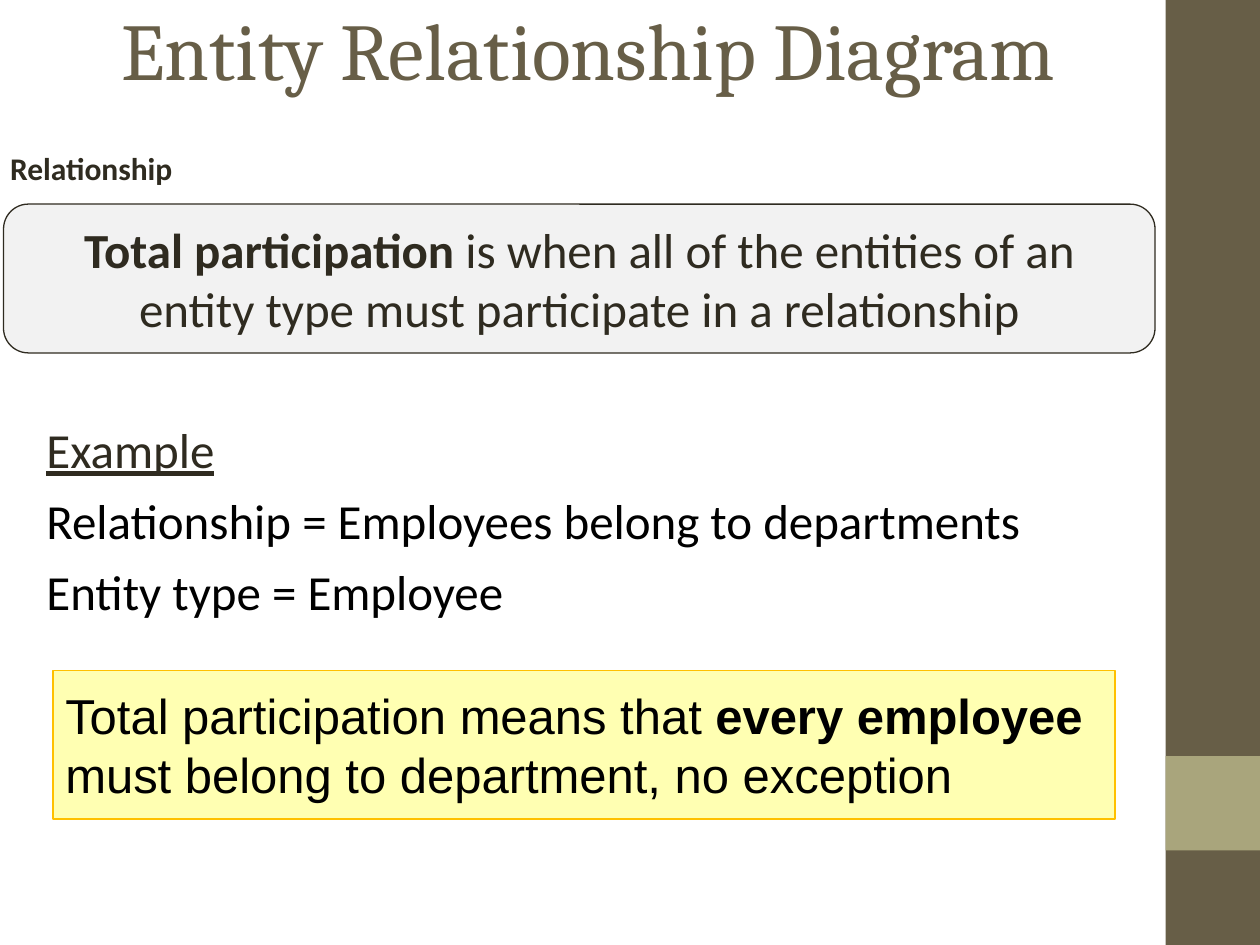
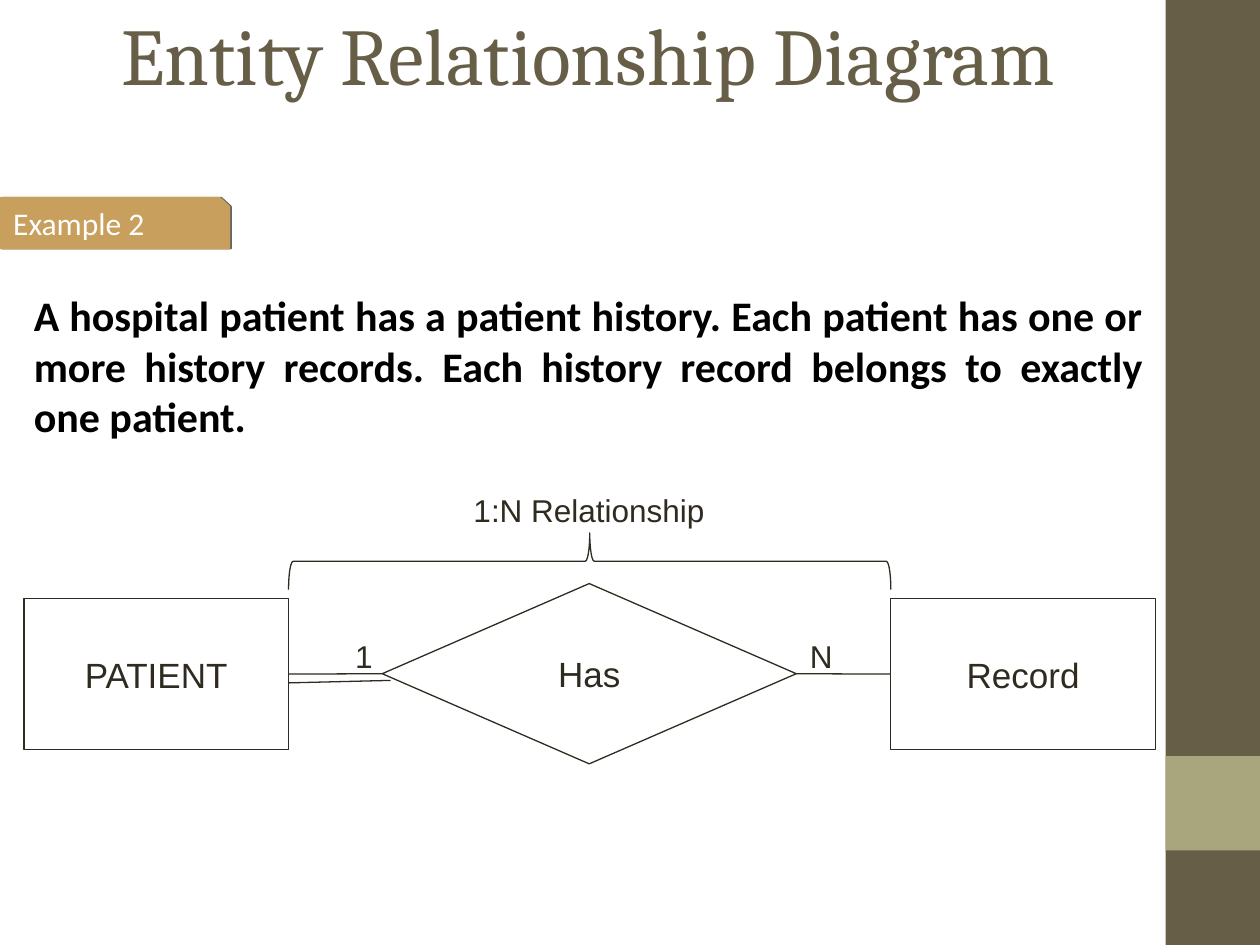
import pptx
import pptx.util
import pptx.dml.color
import pptx.enum.shapes
import pptx.enum.text
import pptx.oxml
import pptx.oxml.ns

Pt = pptx.util.Pt
SHAPE = pptx.enum.shapes.MSO_SHAPE
ALIGN = pptx.enum.text.PP_ALIGN
ANCHOR = pptx.enum.text.MSO_ANCHOR
NAMESPACE = pptx.oxml.ns.nsdecls("a")

COLORS = {
    "brown": "675E47", "sage": "A9A57C", "ink": "2F2B20", "black": "000000",
    "white": "FFFFFF", "grey": "F2F2F2", "yellow": "FFFF00", "amber": "FFC000",
    "tan": "C89F5D",
}


def color(name):
    return pptx.dml.color.RGBColor.from_string(COLORS[name])


def write(shape, paragraphs, font, font_color="ink", align=ALIGN.LEFT,
          anchor=ANCHOR.TOP, margins=(7.2, 3.6)):
    """Each paragraph is a list of (text, changed font values) runs."""
    frame = shape.text_frame
    frame_format = {
        "word_wrap": True, "auto_size": pptx.enum.text.MSO_AUTO_SIZE.NONE,
        "vertical_anchor": anchor,
        "margin_left": Pt(margins[0]), "margin_right": Pt(margins[0]),
        "margin_top": Pt(margins[1]), "margin_bottom": Pt(margins[1]),
    }
    for name, value in frame_format.items():
        setattr(frame, name, value)
    for index, runs in enumerate(paragraphs):
        paragraph = frame.paragraphs[0] if index == 0 else frame.add_paragraph()
        paragraph.alignment = align
        if index:
            paragraph.space_before = Pt(7)
        for text, changes in runs:
            run = paragraph.add_run()
            run.text = text
            values = {**font, "color": font_color, **changes}
            run.font.color.rgb = color(values.pop("color"))
            for name, value in values.items():
                setattr(run.font, name, value)


def paint(shape, fill=None, line=None, width=0.75):
    shape.shadow.inherit = False
    if fill:
        shape.fill.solid()
        shape.fill.fore_color.rgb = color(fill)
    else:
        shape.fill.background()
    if line:
        shape.line.color.rgb = color(line)
        shape.line.width = Pt(width)
    else:
        shape.line.fill.background()


TITLE = {"name": "Cambria", "size": Pt(46)}
BODY = {"name": "Calibri", "size": Pt(28)}
LABEL = {"name": "Calibri", "size": Pt(18)}
CALLOUT = {"name": "Arial", "size": Pt(28)}
ENTITY = {"name": "Arial", "size": Pt(20)}
CARDINALITY = {"name": "Arial", "size": Pt(18)}

presentation = pptx.Presentation()
presentation.slide_width, presentation.slide_height = Pt(720), Pt(540)

# Slides with the shared title
slides = []
for title_height in (54.72, 60.48):
    slide = presentation.slides.add_slide(presentation.slide_layouts[5])
    title = slide.shapes.title
    title.left, title.top = Pt(36), Pt(0)
    title.width, title.height = Pt(600), Pt(title_height)
    write(title, [[("Entity Relationship Diagram", {})]], TITLE, "brown",
          ALIGN.CENTER, ANCHOR.MIDDLE)
    slides.append(slide)
participation, hospital = slides

# Side band, moved to the slide master
for index, (top, height, fill) in enumerate([(0, 540, "brown"), (432, 54, "sage")]):
    band = participation.shapes.add_shape(
        SHAPE.RECTANGLE, Pt(666), Pt(top), Pt(54), Pt(height))
    paint(band, fill)
    band.element.nvSpPr.cNvPr.set("id", str(101 + index))
    presentation.slide_master.shapes.element.insert(2 + index, band.element)

# Slide 1: heading and definition
heading = participation.shapes.add_textbox(Pt(0), Pt(88.5), Pt(114), Pt(25))
write(heading, [[("Relationship", {"bold": True})]], LABEL, margins=(5.76, 0))
heading.text_frame.paragraphs[0].line_spacing = Pt(18)

definition = participation.shapes.add_shape(
    SHAPE.ROUNDED_RECTANGLE, Pt(2), Pt(116.64), Pt(658), Pt(85))
paint(definition, "grey", "ink")
write(definition, [[
    ("Total participation ", {"bold": True}),
    ("is when all of the entities of an entity type must participate in a relationship", {}),
]], BODY, align=ALIGN.CENTER, anchor=ANCHOR.MIDDLE)

# Slide 1: example and its meaning
example = participation.shapes.add_textbox(Pt(19.44), Pt(236.16), Pt(640), Pt(130))
write(example, [
    [("Example", {"underline": True, "color": "ink"})],
    [("Relationship = Employees belong to departments", {})],
    [("Entity type = Employee", {})],
], BODY, "black")

meaning = participation.shapes.add_shape(
    SHAPE.RECTANGLE, Pt(30.24), Pt(383.04), Pt(607), Pt(85))
paint(meaning, "yellow", "amber")
fill_color = meaning.element.spPr.find(
    pptx.oxml.ns.qn("a:solidFill")).find(pptx.oxml.ns.qn("a:srgbClr"))
fill_color.append(pptx.oxml.parse_xml(f'<a:alpha {NAMESPACE} val="30000"/>'))
write(meaning, [[
    ("Total participation means that ", {}),
    ("every employee ", {"bold": True}),
    ("must belong to department, no exception", {}),
]], CALLOUT, "black", anchor=ANCHOR.MIDDLE)

# Slide 2: example tab with a cut corner and a thin shadow
builder = hospital.shapes.build_freeform(Pt(0.5), Pt(113))
builder.add_line_segments(
    [(Pt(x), Pt(y)) for x, y in [(125.5, 113), (131, 118), (131, 142), (0.5, 142)]])
tab = builder.convert_to_shape()
paint(tab, "tan", "tan", 1)
tab.element.spPr.find(pptx.oxml.ns.qn("a:effectLst")).append(pptx.oxml.parse_xml(
    f'<a:outerShdw {NAMESPACE} blurRad="0" dist="12700" dir="0" rotWithShape="0">'
    f'<a:srgbClr val="{COLORS["black"]}"><a:alpha val="60000"/></a:srgbClr></a:outerShdw>'))
write(tab, [[("Example 2", {})]], LABEL, "white", anchor=ANCHOR.MIDDLE)

scenario = hospital.shapes.add_textbox(Pt(12.24), Pt(162), Pt(648), Pt(97))
write(scenario, [[(
    "A hospital patient has a patient history. Each patient has one or more history "
    "records. Each history record belongs to exactly one patient.", {"bold": True})]],
    {**BODY, "size": Pt(24)}, "black", ALIGN.JUSTIFY)

# Slide 2: entities and their relationship
nodes = {}
for name, kind, left, top, width, height in [
    ("PATIENT", SHAPE.RECTANGLE, 13.68, 342, 151.2, 86.4),
    ("Record", SHAPE.RECTANGLE, 509.04, 342, 151.2, 86.4),
    ("Has", SHAPE.DIAMOND, 218.4, 333.5, 236.6, 103),
]:
    node = hospital.shapes.add_shape(kind, Pt(left), Pt(top), Pt(width), Pt(height))
    paint(node, "white", "ink")
    write(node, [[(name, {})]], ENTITY, align=ALIGN.CENTER, anchor=ANCHOR.MIDDLE)
    nodes[name] = node

# Slide 2: connectors, with a second line for total participation
links = [hospital.shapes.add_connector(
    pptx.enum.shapes.MSO_CONNECTOR.STRAIGHT, Pt(164.88), Pt(390.24), Pt(223.2), Pt(388.8))]
for start, end in [("PATIENT", "Has"), ("Has", "Record")]:
    link = hospital.shapes.add_connector(
        pptx.enum.shapes.MSO_CONNECTOR.STRAIGHT, 0, 0, 0, 0)
    link.begin_connect(nodes[start], 3)
    link.end_connect(nodes[end], 1)
    links.append(link)
for link in links:
    link.line.color.rgb = color("ink")
    link.line.width = Pt(0.75)
    link.element.spPr.append(pptx.oxml.parse_xml(f"<a:effectLst {NAMESPACE}/>"))

# Slide 2: brace over the relationship, and labels
brace = hospital.shapes.add_shape(
    SHAPE.LEFT_BRACE, Pt(320.76), Pt(148.68), Pt(32.4), Pt(344.16))
brace.rotation = 90
brace.adjustments[0], brace.adjustments[1] = 0.08, 0.5
paint(brace, line="ink")

for text, left, top, width, align in [
    ("1", 195.84, 360.72, 28, ALIGN.LEFT),
    ("N", 455.76, 360.72, 28, ALIGN.LEFT),
    ("1:N Relationship", 217.44, 277.2, 238.3, ALIGN.CENTER),
]:
    label = hospital.shapes.add_textbox(Pt(left), Pt(top), Pt(width), Pt(28))
    write(label, [[(text, {})]], CARDINALITY, align=align)

presentation.save("out.pptx")
